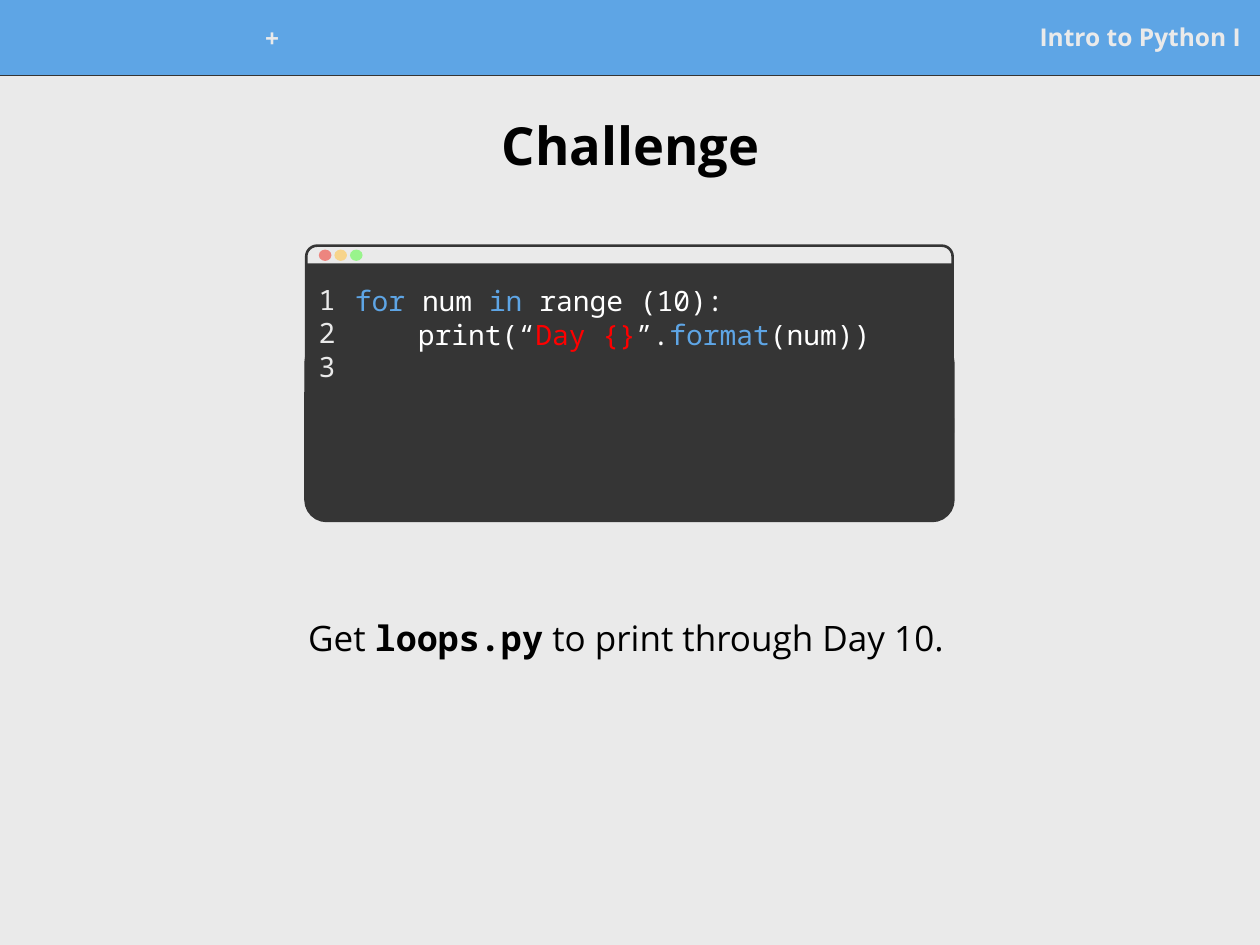
from pptx import Presentation
from pptx.dml.color import RGBColor
from pptx.enum.shapes import MSO_CONNECTOR, MSO_SHAPE
from pptx.enum.text import MSO_ANCHOR, MSO_AUTO_SIZE, PP_ALIGN
from pptx.oxml.ns import qn
from pptx.util import Pt
from lxml import etree

RECT, ROUND, OVAL = MSO_SHAPE.RECTANGLE, MSO_SHAPE.ROUNDED_RECTANGLE, MSO_SHAPE.OVAL
LEFT, CENTER, RIGHT = PP_ALIGN.LEFT, PP_ALIGN.CENTER, PP_ALIGN.RIGHT
TOP, MIDDLE = MSO_ANCHOR.TOP, MSO_ANCHOR.MIDDLE
STRAIGHT, NO_FIT = MSO_CONNECTOR.STRAIGHT, MSO_AUTO_SIZE.NONE

PAPER = RGBColor(0xEA, 0xEA, 0xEA)
BLUE = RGBColor(0x5E, 0xA5, 0xE5)
DARK = RGBColor(0x35, 0x35, 0x35)
BLACK = RGBColor(0, 0, 0)
WHITE = RGBColor(0xFF, 0xFF, 0xFF)
RED = RGBColor(0xFF, 0, 0)
BUTTONS = (RGBColor(0xED, 0x85, 0x7F), RGBColor(0xF7, 0xD4, 0x8B),
           RGBColor(0x99, 0xF4, 0x8C))

SANS, MONO = "Open Sans", "Noto Sans Mono"


class Deck:
    """Holds the style and the current slide; lengths are in points."""

    def __init__(self, width, height):
        self.prs = Presentation()
        self.prs.slide_width, self.prs.slide_height = Pt(width), Pt(height)
        self.s = self.prs.slides.add_slide(self.prs.slide_layouts[5])
        self.s.background.fill.solid()
        self.s.background.fill.fore_color.rgb = PAPER

    def group(self):
        return self.s.shapes.add_group_shape().shapes

    def shape(self, kind, box, fill=None, line=None, weight=0.75, adj=None, parent=None):
        parent = self.s.shapes if parent is None else parent
        sp = parent.add_shape(kind, *map(Pt, box))
        sp.shadow.inherit = False
        if adj is not None:
            sp.adjustments[0] = adj
        if fill is None:
            sp.fill.background()
        else:
            sp.fill.solid()
            sp.fill.fore_color.rgb = fill
        if line is None:
            sp.line.fill.background()
        else:
            sp.line.color.rgb = line
            sp.line.width = Pt(weight)

    def line(self, x1, y1, x2, y2, color, weight):
        c = self.s.shapes.add_connector(STRAIGHT, *map(Pt, (x1, y1, x2, y2)))
        c.line.color.rgb = color
        c.line.width = Pt(weight)
        etree.SubElement(c._element.spPr, qn("a:effectLst"))

    def title(self, box, text, size):
        sp = self.s.shapes.title
        sp.left, sp.top, sp.width, sp.height = map(Pt, box)
        self.fill_text(sp.text_frame, [[(text, BLACK, SANS, True)]], size, CENTER, MIDDLE)

    def text(self, box, lines, size, align=LEFT, anchor=TOP, after=0, parent=None):
        parent = self.s.shapes if parent is None else parent
        tf = parent.add_textbox(*map(Pt, box)).text_frame
        self.fill_text(tf, lines, size, align, anchor, after)

    def fill_text(self, tf, lines, size, align, anchor, after=0):
        """Each line is a list of (text, color, font, bold) runs."""
        tf.word_wrap = True
        tf.auto_size = NO_FIT
        tf.vertical_anchor = anchor
        tf.margin_left = tf.margin_right = tf.margin_top = tf.margin_bottom = Pt(7.2)
        for i, line in enumerate(lines):
            p = tf.paragraphs[0] if i == 0 else tf.add_paragraph()
            p.alignment = align
            p.space_after = Pt(after)
            for text, color, font, bold in line:
                r = p.add_run()
                r.text = text
                r.font.size, r.font.name, r.font.bold = Pt(size), font, bold
                r.font.color.rgb = color


def code(*parts):
    return [(text, color, MONO, False) for text, color in parts]


def main():
    deck = Deck(720, 540)

    # Header band
    deck.line(0, 42.75, 720, 42.75, DARK, 1.5)
    deck.shape(RECT, (0, 0, 720, 42.5), BLUE, BLUE)
    deck.text((449.3, 7.5, 267, 27.4), [[("Intro to Python I", PAPER, SANS, True)]],
              14, RIGHT, MIDDLE)
    deck.text((134, 8, 43.2, 27.4), [[("+", PAPER, SANS, True)]], 14, CENTER, MIDDLE)

    # Title and task
    deck.title((13, 50.4, 694.8, 64.8), "Challenge", 30)
    deck.text((50.4, 323.3, 620, 82),
              [[("Get ", BLACK, SANS, False), ("loops.py", BLACK, MONO, True),
                (" to print through Day 10. ", BLACK, SANS, False)]],
              20, CENTER, MIDDLE, after=10)

    # Editor window
    x, width = 175, 369.4
    window = deck.group()
    deck.shape(ROUND, (x, 140.4, width, 113), None, DARK, 1.5, 0.055, window)
    deck.shape(RECT, (x, 150.5, width, 135.4), DARK, parent=window)
    deck.shape(ROUND, (x, 195.8, width, 101.5), DARK, DARK, 2.25, 0.115, window)
    for i, color in enumerate(BUTTONS):
        deck.shape(OVAL, (182.2 + 8.9 * i, 142.6, 7.2, 6.5), color, parent=window)

    # Line numbers and code
    listing = deck.group()
    deck.text((x, 154, 36, 104.4), [code((n, PAPER)) for n in "123"], 16, parent=listing)
    deck.text((195.8, 154.8, width, 101.5),
              [code(("for ", BLUE), ("num ", WHITE), ("in", BLUE), (" range (10):", WHITE)),
               code(("\tprint(“", WHITE), ("Day {}", RED), ("”.", WHITE),
                    ("format", BLUE), ("(num))", WHITE))],
              16, parent=listing)

    deck.prs.save("out.pptx")


if __name__ == "__main__":
    main()
